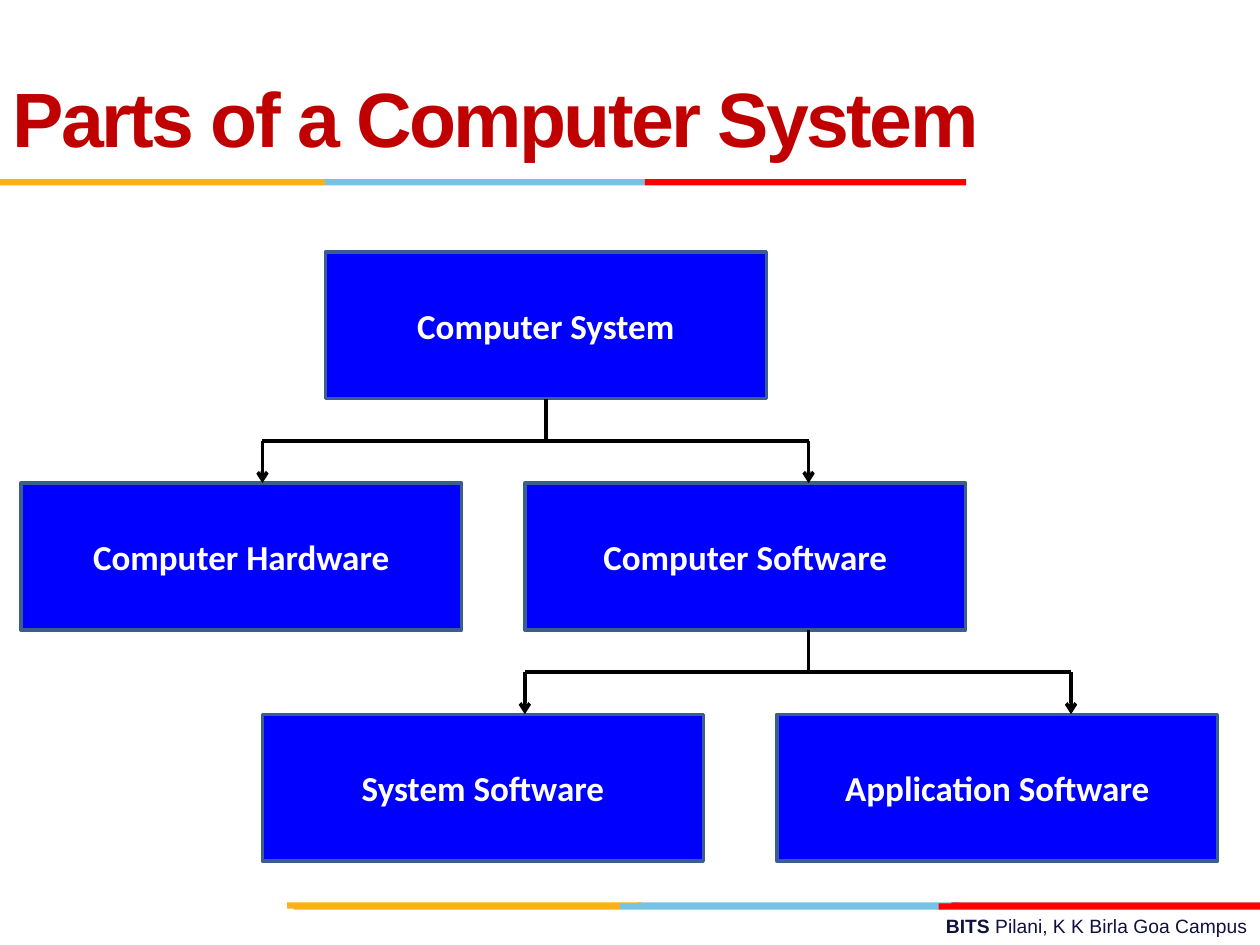
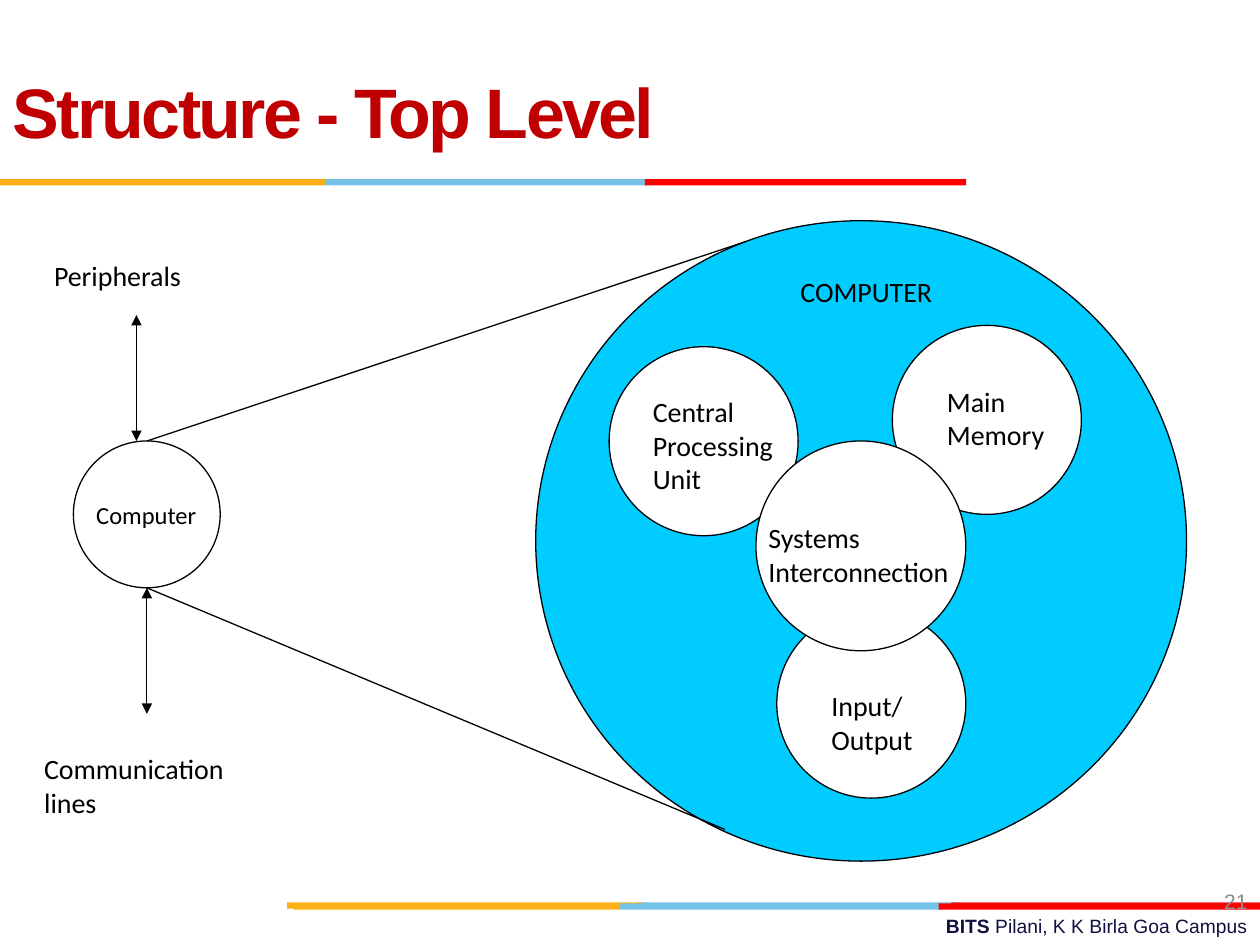
"""Build two slides on the parts and the top-level structure of a computer."""
from dataclasses import dataclass

import lxml.etree
import pptx
import pptx.dml.color
import pptx.enum.shapes
import pptx.enum.text
import pptx.oxml.ns
import pptx.util

Cm = pptx.util.Cm
Pt = pptx.util.Pt
qn = pptx.oxml.ns.qn
Align = pptx.enum.text.PP_ALIGN
Anchor = pptx.enum.text.MSO_ANCHOR
Preset = pptx.enum.shapes.MSO_SHAPE


@dataclass(frozen=True)
class Theme:
    heading_font: str = "Arial"
    body_font: str = "Calibri"
    title: str = "C00000"
    ink: str = "000000"
    paper: str = "FFFFFF"
    footer: str = "101141"
    number: str = "8C8C8C"
    orange: str = "FCB017"
    sky: str = "76C2E5"
    red: str = "FF0000"
    dark_red: str = "E31C24"
    box: str = "0000FF"
    box_edge: str = "3A5F8C"
    computer: str = "00CCFF"
    parts_title_size: int = 44
    structure_title_size: int = 40
    box_size: int = 20
    label_size: int = 16
    small_label_size: int = 14
    number_size: int = 12
    footer_size: int = 11
    thick: float = 2
    thin: float = 0.75


class Deck:
    def __init__(self, theme):
        self.theme = theme
        self.presentation = pptx.Presentation()
        self.presentation.slide_width = Cm(25.4)
        self.presentation.slide_height = Cm(19.05)
        self.slide = None

    def start_slide(self, title, size, top, width):
        layout = self.presentation.slide_layouts.get_by_name("Title Only")
        self.slide = self.presentation.slides.add_slide(layout)
        self.footer()
        self.bands()
        placeholder = self.slide.shapes.title
        placeholder.left, placeholder.top = Cm(0), Cm(top)
        placeholder.width, placeholder.height = Cm(width), Cm(3.18)
        self.set_text(placeholder, title, size, self.theme.title, Align.LEFT,
                      Anchor.MIDDLE, bold=True, font=self.theme.heading_font)
        for properties in placeholder.element.iter(qn("a:rPr")):
            properties.set("spc", "-150")

    def set_text(self, shape, text, size, color, align, anchor, bold=False, font=None):
        frame = shape.text_frame
        frame.text = text
        frame.word_wrap = True
        frame.auto_size = pptx.enum.text.MSO_AUTO_SIZE.NONE
        frame.vertical_anchor = anchor
        for paragraph in frame.paragraphs:
            paragraph.alignment = align
            for run in paragraph.runs:
                self.style_run(run, size, color, bold, font or self.theme.body_font)

    def style_run(self, run, size, color, bold, font):
        run.font.size = Pt(size)
        run.font.name = font
        run.font.bold = bold
        run.font.color.rgb = pptx.dml.color.RGBColor.from_string(color)

    def label(self, text, left, top, width, height, size=None, color=None,
              align=Align.LEFT, anchor=Anchor.TOP, font=None):
        shape = self.slide.shapes.add_textbox(Cm(left), Cm(top), Cm(width), Cm(height))
        self.set_text(shape, text, size or self.theme.label_size,
                      color or self.theme.ink, align, anchor, font=font)
        return shape

    def shape(self, preset, left, top, width, height, fill=None, edge=None, weight=0):
        shape = self.slide.shapes.add_shape(preset, Cm(left), Cm(top), Cm(width), Cm(height))
        shape.shadow.inherit = False
        if fill:
            shape.fill.solid()
            shape.fill.fore_color.rgb = pptx.dml.color.RGBColor.from_string(fill)
        else:
            shape.fill.background()
        if edge:
            shape.line.color.rgb = pptx.dml.color.RGBColor.from_string(edge)
            shape.line.width = Pt(weight)
        else:
            shape.line.fill.background()
        return shape

    def circle(self, left, top, width, height, fill=None):
        return self.shape(Preset.OVAL, left, top, width, height, fill,
                          self.theme.ink, self.theme.thin)

    def box(self, text, left, top, width, height):
        shape = self.shape(Preset.RECTANGLE, left, top, width, height, self.theme.box,
                           self.theme.box_edge, self.theme.thick)
        self.set_text(shape, text, self.theme.box_size, self.theme.paper,
                      Align.CENTER, Anchor.MIDDLE, bold=True)
        return shape

    def line(self, start, end, weight, head=None, tail=None):
        connector = self.slide.shapes.add_connector(
            pptx.enum.shapes.MSO_CONNECTOR.STRAIGHT,
            Cm(start[0]), Cm(start[1]), Cm(end[0]), Cm(end[1]))
        connector.line.color.rgb = pptx.dml.color.RGBColor.from_string(self.theme.ink)
        connector.line.width = Pt(weight)
        properties = connector.element.spPr
        outline = properties.find(qn("a:ln"))
        for tag, kind in (("a:headEnd", head), ("a:tailEnd", tail)):
            if kind:
                lxml.etree.SubElement(outline, qn(tag), type=kind)
        lxml.etree.SubElement(properties, qn("a:effectLst"))
        return connector

    def branch(self, stem, top, ends, drop):
        weight = self.theme.thick
        bus = top + drop
        trunk = self.line((stem, top), (stem, bus), weight)
        self.line((ends[0], bus), (ends[1], bus), weight)
        for end in ends:
            self.line((end, bus), (end, bus + drop), weight, tail="arrow")
        return trunk

    def bands(self):
        theme = self.theme
        for left, top, width, color in (
                (12.85, 18.19, 6.48, theme.sky), (19.18, 18.19, 6.22, theme.dark_red),
                (5.79, 18.19, 7.16, theme.orange),
                (12.5, 18.21, 6.48, theme.sky), (5.92, 18.21, 6.58, theme.orange),
                (18.92, 18.21, 6.48, theme.red),
                (6.55, 3.61, 6.48, theme.sky), (0, 3.61, 6.55, theme.orange),
                (13, 3.61, 6.48, theme.red)):
            self.shape(Preset.RECTANGLE, left, top, width, 0.13, color)

    def footer(self):
        theme = self.theme
        shape = self.label("BITS ", 9.09, 18.31, 16.31, 0.74, theme.footer_size,
                           theme.footer, Align.RIGHT, font=theme.heading_font)
        paragraph = shape.text_frame.paragraphs[0]
        paragraph.runs[0].font.bold = True
        campus = paragraph.add_run()
        campus.text = "Pilani, K K Birla Goa Campus"
        self.style_run(campus, theme.footer_size, theme.footer, False, theme.heading_font)


def build_parts(deck):
    deck.start_slide("Parts of a Computer System", deck.theme.parts_title_size, 0.76, 22.86)
    width, height, drop = 8.89, 2.96, 0.85
    tops = [5.08 + row * (height + 2 * drop) for row in range(3)]
    boxes = {text: deck.box(text, left, tops[row], width, height) for text, left, row in (
        ("Computer System", 6.56, 0),
        ("Computer Hardware", 0.42, 1), ("Computer Software", 10.58, 1),
        ("Application Software", 15.66, 2), ("System Software", 5.29, 2))}
    trunk = deck.branch(11, tops[0] + height, (5.29, 16.3), drop)
    trunk.begin_connect(boxes["Computer System"], 2)
    trunk.end_x = trunk.begin_x
    deck.branch(16.3, tops[1] + height, (10.58, 21.59), drop)


def build_structure(deck):
    theme = deck.theme
    deck.start_slide("Structure - Top Level", theme.structure_title_size, 0.64, 21.59)
    deck.label("21", 19.48, 17.65, 5.92, 1.02, theme.number_size, theme.number,
               Align.RIGHT, Anchor.MIDDLE, theme.heading_font)
    deck.circle(1.48, 8.89, 2.96, 2.96)
    deck.circle(10.8, 4.45, 13.12, 12.91, theme.computer)
    for x, top in ((2.75, 6.35), (2.96, 11.85)):
        deck.line((x, top), (x, top + 2.54), theme.thin, "triangle", "triangle")
    for start, end in (((2.96, 11.85), (14.61, 16.72)), ((2.96, 8.89), (15.03, 4.87))):
        deck.line(start, end, theme.thin)
    for left, top, size in ((15.66, 12.28, 3.81), (12.28, 6.99, 3.81),
                            (17.99, 6.56, 3.81), (15.24, 8.89, 4.23)):
        deck.circle(left, top, size, size, theme.paper)
    for text, left, top, width, height in (
            ("Peripherals", 0.84, 5.08, 3.4, 0.94),
            ("Communication\nlines", 0.64, 15.03, 4.5, 1.63),
            ("Central\nProcessing\nUnit", 12.91, 7.83, 3.5, 2.3),
            ("Systems\nInterconnection", 15.24, 10.37, 4.5, 1.63),
            ("Main\nMemory", 18.84, 7.62, 2.7, 1.63),
            ("Input/\nOutput", 16.51, 13.76, 2.4, 1.63)):
        deck.label(text, left, top, width, height)
    deck.label("COMPUTER", 15.6, 5.4, 3.73, 0.94, align=Align.CENTER, anchor=Anchor.MIDDLE)
    deck.label("Computer", 1.69, 9.96, 2.96, 0.86, theme.small_label_size)


def main():
    deck = Deck(Theme())
    build_parts(deck)
    build_structure(deck)
    deck.presentation.save("out.pptx")


if __name__ == "__main__":
    main()
